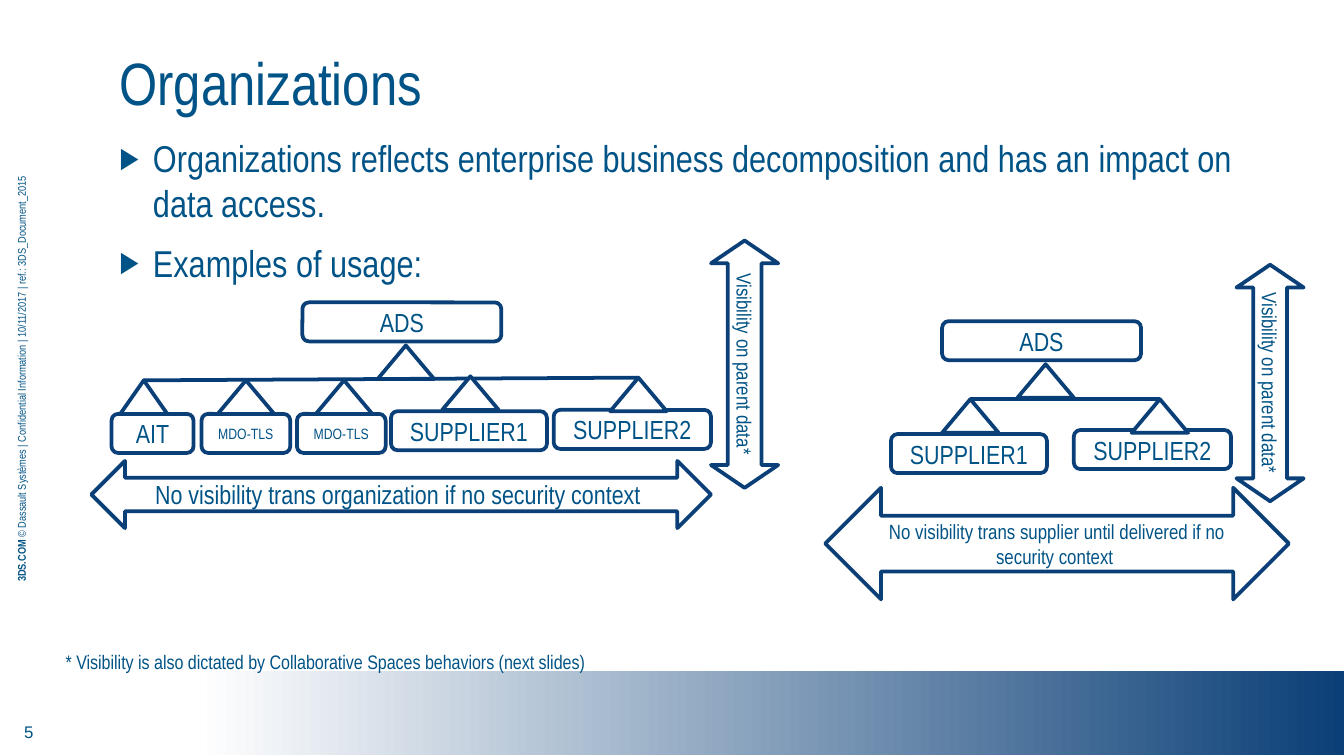
from lxml import etree
from pptx import Presentation
from pptx.dml.color import RGBColor
from pptx.enum import shapes, text
from pptx.oxml.ns import qn
from pptx.util import Inches, Pt

BLUE = RGBColor(0x00, 0x53, 0x86)
NAVY = RGBColor(0x0B, 0x3F, 0x77)
BAR = RGBColor(0x07, 0x3D, 0x77)
WHITE = RGBColor(0xFF, 0xFF, 0xFF)
NARROW = "Arial Narrow"
MS = shapes.MSO_SHAPE
LEFT, CENTER = text.PP_ALIGN.LEFT, text.PP_ALIGN.CENTER
TOP, MIDDLE = text.MSO_ANCHOR.TOP, text.MSO_ANCHOR.MIDDLE

# Each unit: label, size, box left, top, width, then peak x, peak y, triangle width
LEFT_UNITS = [
    ("AIT", 14, 0.83, 3.08, 0.61, 1.07, 2.83, 0.35),
    ("MDO-TLS", 8, 1.5, 3.08, 0.66, 1.83, 2.83, 0.42),
    ("MDO-TLS", 8, 2.21, 3.08, 0.66, 2.56, 2.83, 0.42),
    ("SUPPLIER1", 14, 2.91, 3.06, 1.16, 3.5, 2.8, 0.42),
    ("SUPPLIER2", 14, 4.12, 3.05, 1.17, 4.75, 2.81, 0.42),
]
RIGHT_UNITS = [
    ("SUPPLIER1", 14, 6.63, 3.23, 1.16, 7.22, 2.97, 0.42),
    ("SUPPLIER2", 14, 7.99, 3.2, 1.17, 8.63, 2.97, 0.42),
]


def style_runs(p, size, font=NARROW):
    for r in p.runs:
        r.font.size, r.font.name, r.font.color.rgb = Pt(size), font, BLUE


def write(tf, content, size, align=LEFT, anchor=TOP, font=NARROW):
    tf.text = content
    tf.word_wrap = True
    tf.vertical_anchor = anchor
    for p in tf.paragraphs:
        p.alignment = align
        style_runs(p, size, font)


def add_text(s, box, content, size, **kw):
    sp = s.shapes.add_textbox(*map(Inches, box))
    write(sp.text_frame, content, size, **kw)
    return sp


def add_outline(s, kind, box, label="", size=14, adj=()):
    sp = s.shapes.add_shape(kind, *map(Inches, box))
    sp.shadow.inherit = False
    sp.fill.solid()
    sp.fill.fore_color.rgb = WHITE
    sp.line.color.rgb = NAVY
    sp.line.width = Pt(2)
    for i, value in enumerate(adj):
        sp.adjustments[i] = value
    if label:
        write(sp.text_frame, label, size, align=CENTER, anchor=MIDDLE)
    return sp


def add_unit(s, label, size, left, top, width):
    add_outline(s, MS.ROUNDED_RECTANGLE, (left, top, width, 0.29), label, size)


def add_peak(s, x, y, width=0.42):
    add_outline(s, MS.ISOSCELES_TRIANGLE, (x - width / 2, y, width, 0.25))


def add_bar(s, start, end):
    c = s.shapes.add_connector(shapes.MSO_CONNECTOR.STRAIGHT,
                               *map(Inches, (*start, *end)))
    c.line.color.rgb = BAR
    c.line.width = Pt(2)
    etree.SubElement(c._element.spPr, qn("a:effectLst"))


def add_tree(s, left, top, units):
    """Root box, its triangle, the bar between outer peaks, then the units."""
    add_unit(s, "ADS", 14, left, top, 1.48)
    add_peak(s, left + 0.77, top + 0.32)
    add_bar(s, units[0][5:7], units[-1][5:7])
    for unit in units:
        add_unit(s, *unit[:5])
        add_peak(s, *unit[5:])


def add_arrow(s, box, label, size, head=0.5, rotation=0):
    sp = add_outline(s, MS.LEFT_RIGHT_ARROW, box, label, size, (0.5, head))
    sp.rotation = rotation


def add_bullets(s, box, items, size):
    tf = add_text(s, box, "\n".join(items), size).text_frame
    for i, p in enumerate(tf.paragraphs):
        pPr = p._p.get_or_add_pPr()
        pPr.set("marL", str(Inches(0.25)))
        pPr.set("indent", str(Inches(-0.25)))
        if i:
            p.space_before = Pt(8)
        color = etree.SubElement(pPr, qn("a:buClr"))
        etree.SubElement(color, qn("a:srgbClr"), val=str(BLUE))
        etree.SubElement(pPr, qn("a:buSzPct"), val="80000")
        etree.SubElement(pPr, qn("a:buFont"), typeface="Arial")
        etree.SubElement(pPr, qn("a:buChar"), char="▶")


def add_title(s, content):
    sp = s.shapes.title
    sp.left, sp.top, sp.width, sp.height = map(Inches, (0.79, 0.4, 8.66, 0.41))
    write(sp.text_frame, content, 32, anchor=MIDDLE)
    sp.text_frame.auto_size = text.MSO_AUTO_SIZE.NONE


def add_frame(s):
    # Gradient footer band
    band = s.shapes.add_shape(MS.RECTANGLE, *map(Inches, (1.47, 4.99, 8.53, 0.63)))
    band.shadow.inherit = False
    band.line.fill.background()
    band.fill.gradient()
    band.fill.gradient_angle = 0
    for stop, color in zip(band.fill.gradient_stops, (WHITE, NAVY)):
        stop.color.rgb = color
    # Page number
    add_text(s, (0, 5.25, 0.43, 0.39), "5", 9, align=CENTER, anchor=MIDDLE, font="Arial")
    # Vertical copyright line
    sp = add_text(s, (-2.66, 2.72, 5.64, 0.2), "3DS.COM ", 6, align=CENTER)
    sp.rotation = 270
    p = sp.text_frame.paragraphs[0]
    p.runs[0].font.bold = True
    p.add_run().text = ("© Dassault Systèmes | Confidential Information | "
                        "10/11/2017 | ref.: 3DS_Document_2015")
    style_runs(p, 6)


def main():
    prs = Presentation()
    # Widescreen, 16:9
    prs.slide_width = Inches(10)
    prs.slide_height = Inches(10) * 9 // 16
    s = prs.slides.add_slide(prs.slide_layouts[5])
    add_frame(s)
    add_title(s, "Organizations")
    add_bullets(s, (0.79, 0.96, 8.66, 4.03), [
        "Organizations reflects enterprise business decomposition "
        "and has an impact on data access.",
        "Examples of usage:",
    ], 20)

    # Organization trees with their visibility arrows
    add_tree(s, 2.25, 2.25, LEFT_UNITS)
    add_arrow(s, (0.68, 3.43, 4.61, 0.5),
              "No visibility trans organization if no security context ", 14)
    add_tree(s, 7.01, 2.39, RIGHT_UNITS)
    add_arrow(s, (6.14, 3.63, 3.45, 0.83),
              "No visibility trans supplier until delivered if no security context ", 11)
    for box in ((8.57, 2.6, 1.76, 0.5), (4.62, 2.46, 1.84, 0.5)):
        add_arrow(s, box, "Visibility on parent data*", 11, head=0.34, rotation=90)

    # Footnote
    add_text(s, (0.39, 4.79, 4.15, 0.3), "* Visibility is also dictated by "
             "Collaborative Spaces behaviors (next slides)", 10.5)
    prs.save("out.pptx")


if __name__ == "__main__":
    main()
